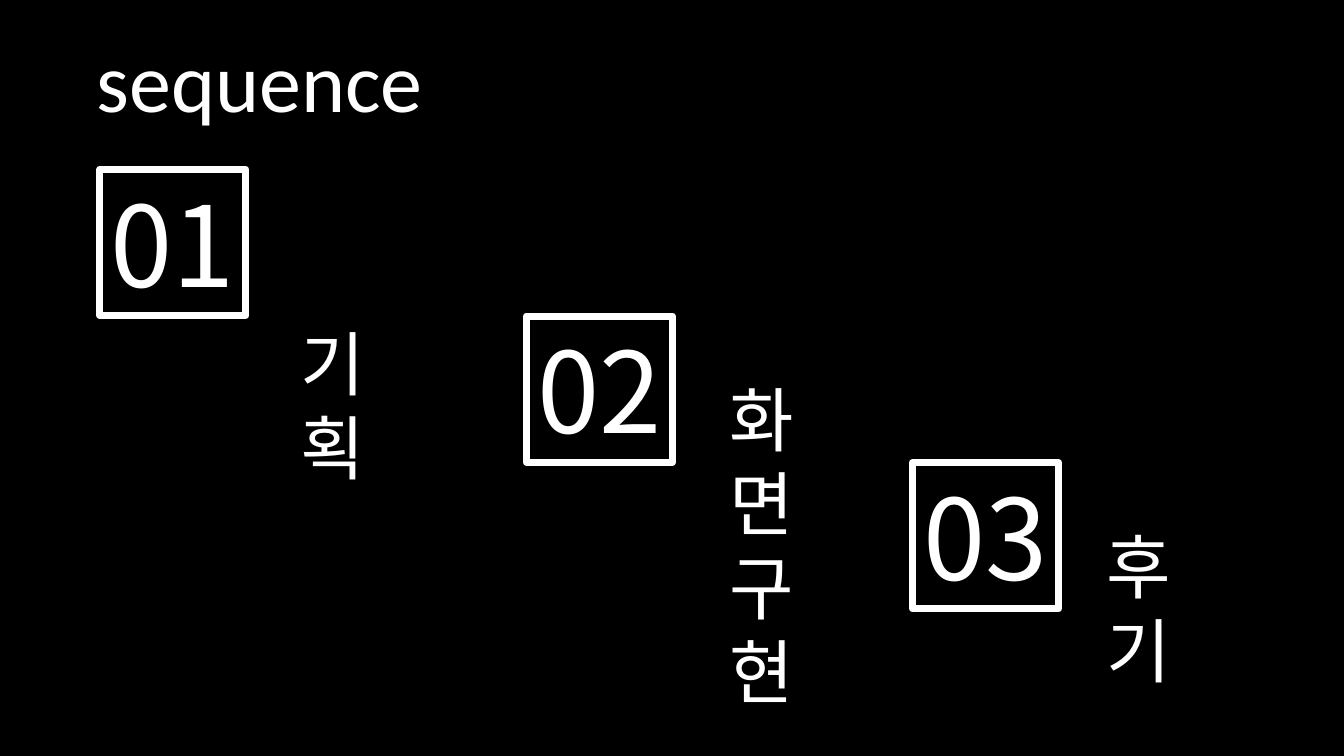
import pptx
import pptx.util
import pptx.dml.color
import pptx.enum.shapes
import pptx.enum.text
import pptx.oxml.ns
import lxml.etree

Inches = pptx.util.Inches
COLORS = {"background": "000000", "foreground": "FFFFFF"}
TITLE_FONT = "Calibri"
STEP_FONT = "Noto Sans CJK KR"
TITLE = "sequence"
STEPS = [
    {"number": "01", "label": "기획", "left": 0.99, "label_at": (2.71, 3.13)},
    {"number": "02", "label": "화면구현", "left": 5.22, "label_at": (6.96, 3.69)},
    {"number": "03", "label": "후기", "left": 9.05, "label_at": (10.7, 5.14)},
]
FIRST_TOP, STEP_DROP, BOX_SIDE = 1.68, 1.455, 1.45
LABEL_WIDTH, LABEL_LINE = 1.18, 0.84


def color(name):
    return pptx.dml.color.RGBColor.from_string(COLORS[name])


def write(shape, text, size, font_name, wrap=True):
    frame = shape.text_frame
    frame.word_wrap = wrap
    frame.text = text
    paragraph = frame.paragraphs[0]
    paragraph.alignment = pptx.enum.text.PP_ALIGN.CENTER
    font = paragraph.font
    font.size = pptx.util.Pt(size)
    font.color.rgb = color("foreground")
    font.name = font_name
    properties = paragraph._p.pPr.find(pptx.oxml.ns.qn("a:defRPr"))
    east_asian = lxml.etree.SubElement(properties, pptx.oxml.ns.qn("a:ea"))
    east_asian.set("typeface", font_name)


def add_text(slide, text, left, top, width, height, size, font_name):
    box = slide.shapes.add_textbox(Inches(left), Inches(top), Inches(width), Inches(height))
    write(box, text, size, font_name)


def add_step(slide, index, step):
    top = FIRST_TOP + index * STEP_DROP
    square = slide.shapes.add_shape(
        pptx.enum.shapes.MSO_SHAPE.RECTANGLE,
        Inches(step["left"]), Inches(top), Inches(BOX_SIDE), Inches(BOX_SIDE))
    square.shadow.inherit = False
    square.fill.background()
    square.line.color.rgb = color("foreground")
    square.line.width = pptx.util.Pt(5)
    write(square, step["number"], 80, STEP_FONT, wrap=False)
    square.text_frame.vertical_anchor = pptx.enum.text.MSO_ANCHOR.MIDDLE
    label_height = 0.1 + LABEL_LINE * len(step["label"])
    add_text(slide, step["label"], *step["label_at"], LABEL_WIDTH, label_height, 50, STEP_FONT)


def main():
    deck = pptx.Presentation()
    deck.slide_width, deck.slide_height = Inches(13.33), Inches(7.5)
    slide = deck.slides.add_slide(deck.slide_layouts[6])
    slide.background.fill.solid()
    slide.background.fill.fore_color.rgb = color("background")
    add_text(slide, TITLE, 0.1, 0.23, 4.95, 1.11, 60, TITLE_FONT)
    for index, step in enumerate(STEPS):
        add_step(slide, index, step)
    deck.save("out.pptx")


if __name__ == "__main__":
    main()
